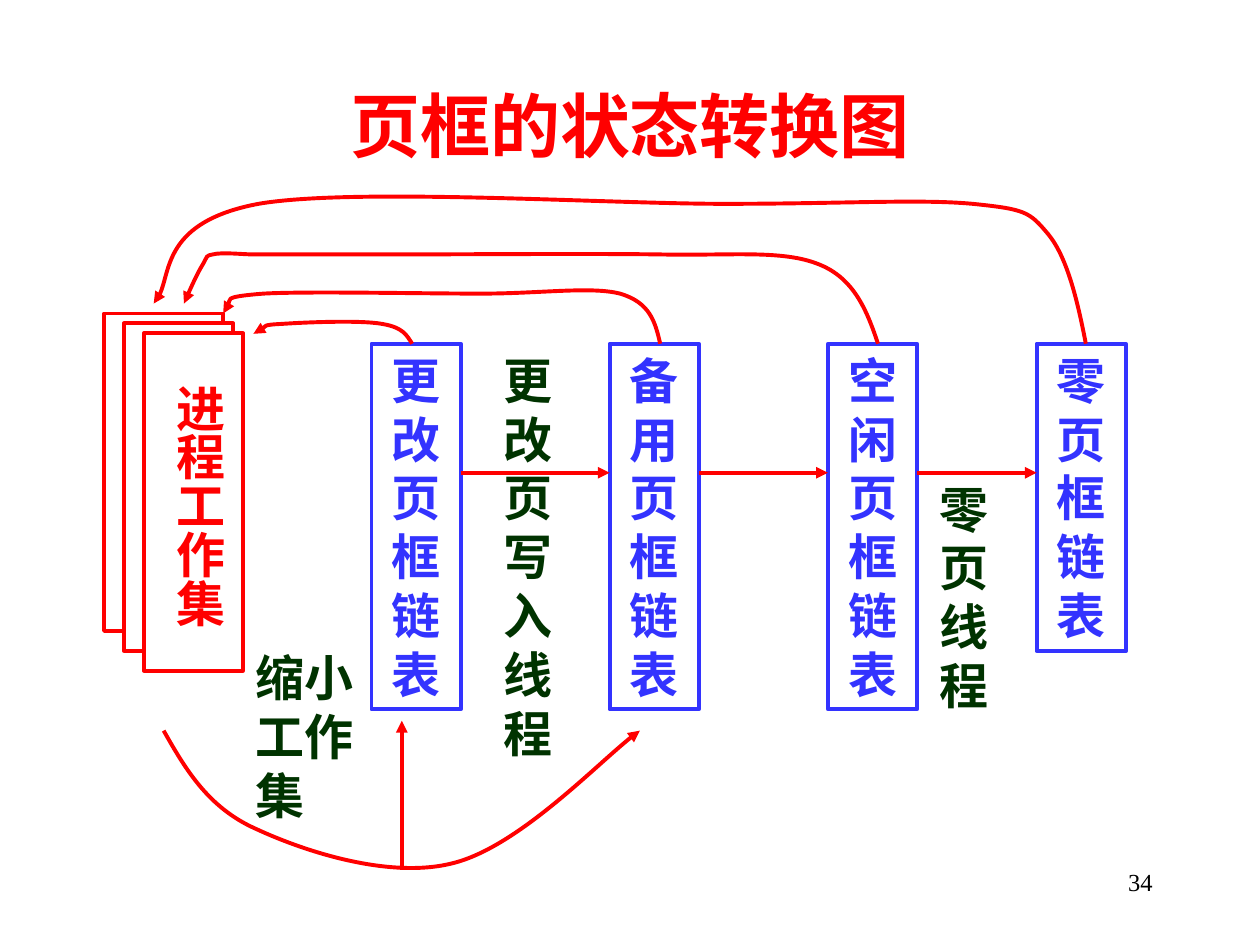
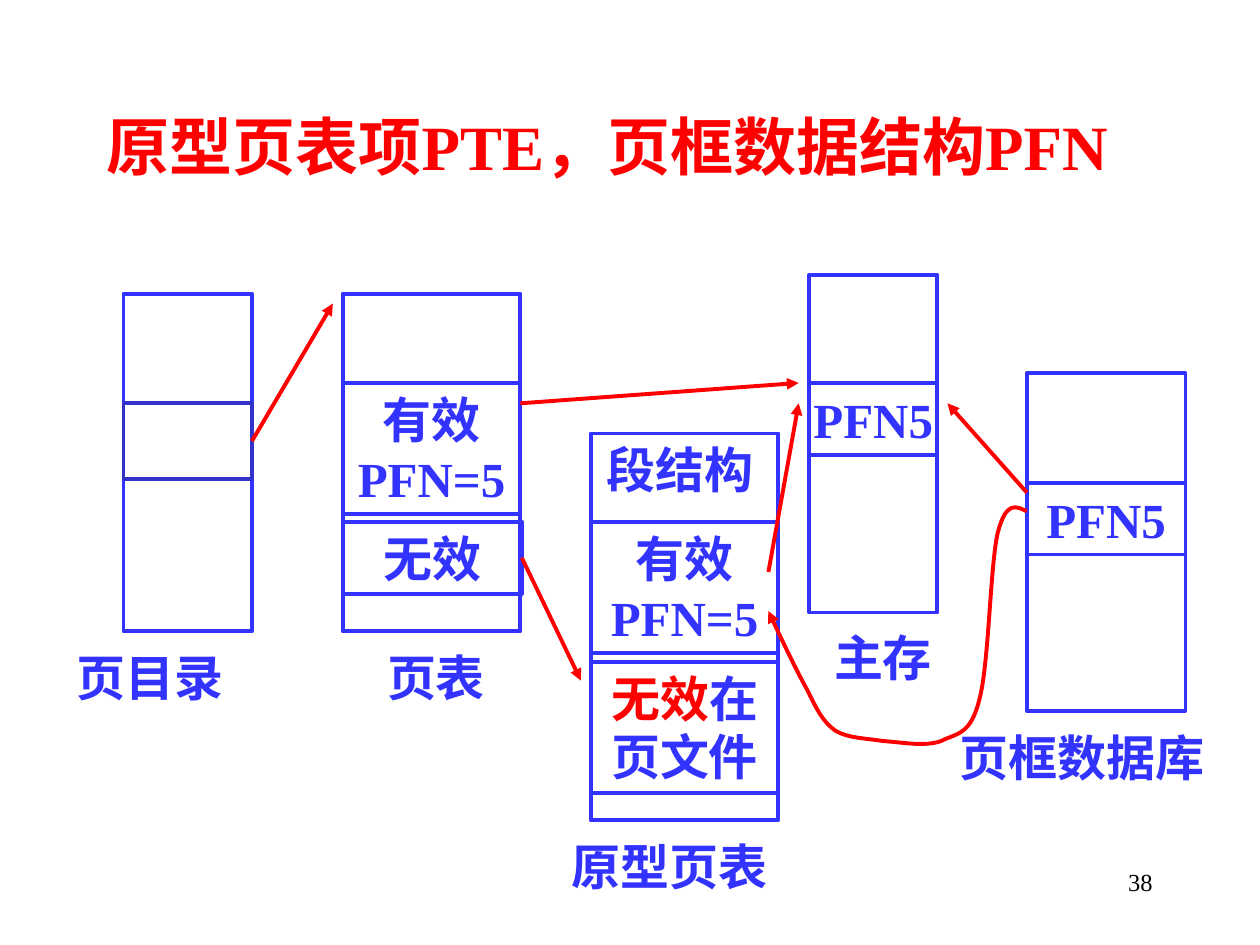
from dataclasses import dataclass
from itertools import pairwise

from lxml import etree
from pptx import Presentation
from pptx import util as u
from pptx.dml.color import RGBColor
from pptx.enum import shapes, text
from pptx.oxml.ns import qn

INK = {"red": "FF0000", "blue": "3333FF", "navy": "3333CC",
       "green": "003300", "white": "FFFFFF", "black": "000000"}
FONT = "Times New Roman"
ALIGN = {"left": text.PP_ALIGN.LEFT, "mid": text.PP_ALIGN.CENTER,
         "right": text.PP_ALIGN.RIGHT}
EDGE = 2.25
TOP = 6.93
LIST_W = 1.8
FLOW_Y = 9.53


@dataclass
class Box:
    """A framed cell; lengths in centimetres."""
    x: float
    y: float
    w: float
    h: float
    words: str = ""
    hot: str = ""
    edge: str = "blue"
    fill: str = ""
    pad: float = 0.25


@dataclass
class Label:
    """Free text beside the cells."""
    x: float
    y: float
    w: float
    h: float
    words: str
    ink: str = "blue"
    align: str = "left"
    size: int = 28
    bold: bool = True


@dataclass
class Arrow:
    """A straight arrow from (x, y) to (to_x, to_y)."""
    x: float
    y: float
    to_x: float
    to_y: float


LISTS = [
    Box(7.49, TOP, LIST_W, 7.37, "更改页框链表", fill="white"),
    Box(12.29, TOP, LIST_W, 7.37, "备用页框链表", fill="white"),
    Box(16.69, TOP, LIST_W, 7.37, "空闲页框链表", fill="white"),
    Box(20.9, TOP, LIST_W, 6.2, "零页框链表", fill="white"),
]
THREADS = [
    Label(9.91, TOP, 2.21, 8.56, "更改页\n写入\n线程", "green"),
    Label(18.69, FLOW_Y, 2.39, 5, "零页线程", "green"),
    Label(4.9, 12.93, 3, 3.81, "缩小工作集", "green"),
]
LOOPS = [
    [(3.3, 14.73), (3.73, 15.49), (4.19, 16.28), (5.16, 16.71),
     (6.15, 17.17), (7.87, 17.73), (9.14, 17.4),
     (10.44, 17.07), (12.27, 15.16), (12.9, 14.73)],
    [(21.89, TOP), (21.72, 6.05), (21.51, 5.18), (21.13, 4.72),
     (20.75, 4.27), (20.68, 4.22), (19.61, 4.11),
     (18.52, 4.01), (17.02, 4.11), (14.6, 4.11),
     (12.22, 4.11), (7.14, 3.78), (5.21, 4.11),
     (3.3, 4.47), (3.45, 5.79), (3.1, 6.12)],
    [(17.7, TOP), (17.48, 6.27), (17.22, 5.61), (16.51, 5.33),
     (15.77, 5.03), (14.73, 5.16), (13.31, 5.13),
     (11.86, 5.11), (9.19, 5.13), (7.9, 5.13),
     (6.6, 5.13), (5.97, 5.13), (5.51, 5.13),
     (5.03, 5.13), (5.31, 5.13), (5.11, 5.13),
     (4.9, 5.13), (4.47, 5.08), (4.29, 5.13),
     (4.14, 5.16), (4.19, 5.16), (4.09, 5.33),
     (3.99, 5.49), (3.76, 5.99), (3.71, 6.12)],
    [(13.31, TOP), (13.21, 6.5), (13.11, 6.1), (12.5, 5.92),
     (11.91, 5.77), (10.9, 5.92), (9.7, 5.92),
     (8.51, 5.92), (6.17, 5.87), (5.31, 5.92),
     (4.42, 5.99), (4.62, 6.25), (4.5, 6.32)],
    [(8.31, TOP), (8.2, 6.76), (8.13, 6.6), (7.7, 6.53),
     (7.26, 6.45), (6.12, 6.5), (5.69, 6.53),
     (5.26, 6.55), (5.21, 6.71), (5.11, 6.73)],
]

ENTRY = Box(2.49, 8.13, 2.59, 1.52, edge="navy")
INVALID = Box(6.91, 10.52, 3.61, 1.45, "无效")
FRAMES = [
    Box(2.49, 5.92, 2.59, 6.81, fill="white"),
    Box(6.91, 5.92, 3.58, 6.81, fill="white"),
    Box(11.91, 8.74, 3.78, 7.8, fill="white"),
    Box(16.31, 5.54, 2.59, 6.81, fill="white"),
    Box(20.7, 7.52, 3.2, 6.81, fill="white"),
]
CELLS = [
    Box(6.91, 7.72, 3.58, 2.64, "有效PFN=5"),
    Box(11.91, 10.52, 3.78, 2.64, "有效PFN=5"),
    Box(11.91, 13.34, 3.78, 2.64, "在页文件", hot="无效"),
    Box(16.31, 7.72, 2.59, 1.45, "PFN5", pad=0.05),
    Box(20.7, 9.73, 3.2, 1.45, "PFN5"),
]
NAMES = [
    Label(1.3, 12.93, 4.39, 1.45, "页目录"),
    Label(7.09, 12.93, 3.4, 1.45, "页表", align="mid"),
    Label(11.1, 16.74, 4.8, 1.45, "原型页表", align="mid"),
    Label(16.1, 12.52, 3.4, 1.45, "主存", align="mid"),
    Label(19.1, 14.53, 5.59, 1.45, "页框数据库"),
    Label(11.71, 8.74, 3.99, 1.45, "段结构", align="mid"),
]
LINKS = [
    Arrow(10.49, 8.13, 16.1, 7.72),
    Arrow(15.49, 11.53, 16.1, 8.13),
    Arrow(20.7, 9.93, 19.1, 8.13),
]
BACK = [(20.7, 10.31), (20.5, 10.21), (20.29, 10.08), (20.12, 10.72),
        (19.96, 11.35), (19.94, 13.41), (19.74, 14.12),
        (19.56, 14.83), (19.28, 14.78), (18.97, 14.94),
        (18.64, 15.06), (18.16, 14.96), (17.81, 14.94),
        (17.42, 14.88), (17.09, 14.88), (16.84, 14.73),
        (16.59, 14.55), (16.48, 14.33), (16.28, 13.92),
        (16.05, 13.51), (15.62, 12.6), (15.49, 12.32)]


def hue(name: str) -> RGBColor:
    """Look up a colour."""
    return RGBColor.from_string(INK[name])


def cms(*sizes: float) -> list:
    """Turn centimetre numbers into lengths."""
    return [u.Cm(size) for size in sizes]


def write(frame, words: str, *, ink="blue", size=28, bold=True, align="mid") -> None:
    """Add words to the frame, with a new paragraph at each line break."""
    for n, line in enumerate(words.split("\n")):
        para = frame.add_paragraph() if n else frame.paragraphs[0]
        para.alignment = ALIGN[align]
        run = para.add_run()
        run.text = line
        run.font.name, run.font.size, run.font.bold = FONT, u.Pt(size), bold
        run.font.color.rgb = hue(ink)


def set_frame(frame, pad: float = 0.25, rise: float = 0.13,
              anchor=text.MSO_ANCHOR.TOP) -> None:
    """Set wrapping, margins and anchor."""
    frame.word_wrap = True
    frame.auto_size = text.MSO_AUTO_SIZE.NONE
    frame.vertical_anchor = anchor
    frame.margin_left = frame.margin_right = u.Cm(pad)
    frame.margin_top = frame.margin_bottom = u.Cm(rise)


def draw_box(tree, box: Box):
    """Draw a cell with its words."""
    rect = tree.add_shape(shapes.MSO_SHAPE.RECTANGLE,
                          *cms(box.x, box.y, box.w, box.h))
    rect.shadow.inherit = False
    rect.line.color.rgb, rect.line.width = hue(box.edge), u.Pt(EDGE)
    if box.fill:
        rect.fill.solid()
        rect.fill.fore_color.rgb = hue(box.fill)
    else:
        rect.fill.background()
    set_frame(rect.text_frame, box.pad)
    if box.hot:
        write(rect.text_frame, box.hot, ink="red")
    if box.words:
        write(rect.text_frame, box.words)
    return rect


def draw_label(tree, tag: Label):
    """Draw free text."""
    area = tree.add_textbox(*cms(tag.x, tag.y, tag.w, tag.h))
    set_frame(area.text_frame)
    write(area.text_frame, tag.words, ink=tag.ink, size=tag.size,
          bold=tag.bold, align=tag.align)
    return area


def add_tip(line) -> None:
    """Make a line red with an arrowhead at its end."""
    line.color.rgb, line.width = hue("red"), u.Pt(EDGE)
    etree.SubElement(line._get_or_add_ln(), qn("a:tailEnd"), type="triangle")


def draw_arrow(tree, link: Arrow, start=None) -> None:
    """Draw a straight arrow, joined to the right side of start if given."""
    wire = tree.add_connector(shapes.MSO_CONNECTOR.STRAIGHT,
                              *cms(link.x, link.y, link.to_x, link.to_y))
    add_tip(wire.line)
    etree.SubElement(wire.element.spPr, qn("a:effectLst"))
    if start is not None:
        wire.begin_connect(start, 3)


def draw_curve(tree, spots: list) -> None:
    """Draw a curved arrow from a start and triples of Bezier points."""
    first, *rest = [cms(*spot) for spot in spots]
    pen = tree.build_freeform(*first, scale=1.0)
    pen.add_line_segments(rest, close=False)
    bend = pen.convert_to_shape()
    bend.fill.background()
    bend.shadow.inherit = False
    add_tip(bend.line)
    route = next(bend.element.iter(qn("a:path")))
    steps = route.findall(qn("a:lnTo"))
    for n in range(0, len(steps), 3):
        arc = etree.SubElement(route, qn("a:cubicBezTo"))
        for step in steps[n:n + 3]:
            arc.append(step[0])
            route.remove(step)


def add_page(deck, head: str, number: str, *, size: int, high: float, align: str):
    """Add a slide with its title and number and return its shapes."""
    tree = deck.slides.add_slide(deck.slide_layouts[5]).shapes
    title = tree.title
    title.left, title.top, title.width, title.height = cms(1.9, 1.7, 21.6, high)
    set_frame(title.text_frame, anchor=text.MSO_ANCHOR.MIDDLE)
    write(title.text_frame, head, ink="red", size=size, align=align)
    draw_label(tree, Label(18.21, 17.35, 5.28, 1.27, number, "black", "right", 14, False))
    return tree


def draw_states(deck) -> None:
    """Build the page frame state diagram."""
    tree = add_page(deck, "页框的状态转换图", "34", size=40, high=1.63, align="mid")
    stack = tree.add_group_shape().shapes
    for n in range(3):
        draw_box(stack, Box(2.1 + 0.4 * n, 6.32 + 0.2 * n, 2.4 - 0.2 * n,
                            6.4 + 0.2 * n, edge="red", fill="white"))
    tall = draw_label(stack, Label(3.07, 7.49, 1.68, 5.18, "进程工作集", "red"))
    set_frame(tall.text_frame, 0.13, 0.25)
    tall.text_frame.word_wrap = False
    tall.element.txBody.bodyPr.set("vert", "eaVert")
    for box in LISTS:
        draw_box(tree, box)
    for left, right in pairwise(LISTS):
        draw_arrow(tree, Arrow(left.x + LIST_W, FLOW_Y, right.x, FLOW_Y))
    draw_arrow(tree, Arrow(8.1, 17.53, 8.1, 14.53))
    for tag in THREADS:
        draw_label(tree, tag)
    for loop in LOOPS:
        draw_curve(tree, loop)


def draw_tables(deck) -> None:
    """Build the prototype page table diagram."""
    tree = add_page(deck, "原型页表项PTE，页框数据结构PFN", "38",
                    size=36, high=2.44, align="left")
    for box in FRAMES + CELLS:
        draw_box(tree, box)
    entry, bad = draw_box(tree, ENTRY), draw_box(tree, INVALID)
    for tag in NAMES:
        draw_label(tree, tag)
    draw_arrow(tree, Arrow(5.08, 8.89, 6.71, 6.12), entry)
    draw_arrow(tree, Arrow(10.52, 11.24, 11.71, 13.72), bad)
    for link in LINKS:
        draw_arrow(tree, link)
    draw_curve(tree, BACK)


def main() -> None:
    """Build and save the deck."""
    deck = Presentation()
    deck.slide_width, deck.slide_height = cms(25.4, 19.05)
    draw_states(deck)
    draw_tables(deck)
    deck.save("out.pptx")


if __name__ == "__main__":
    main()
